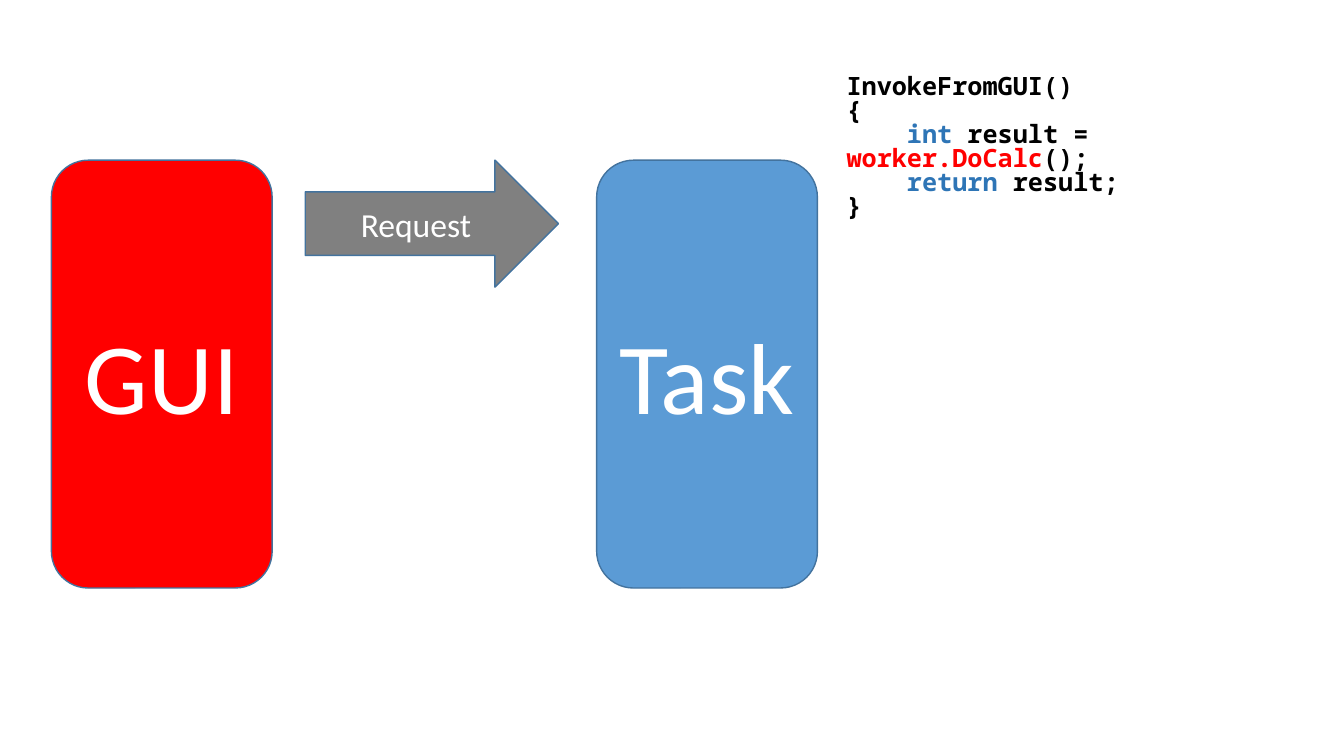
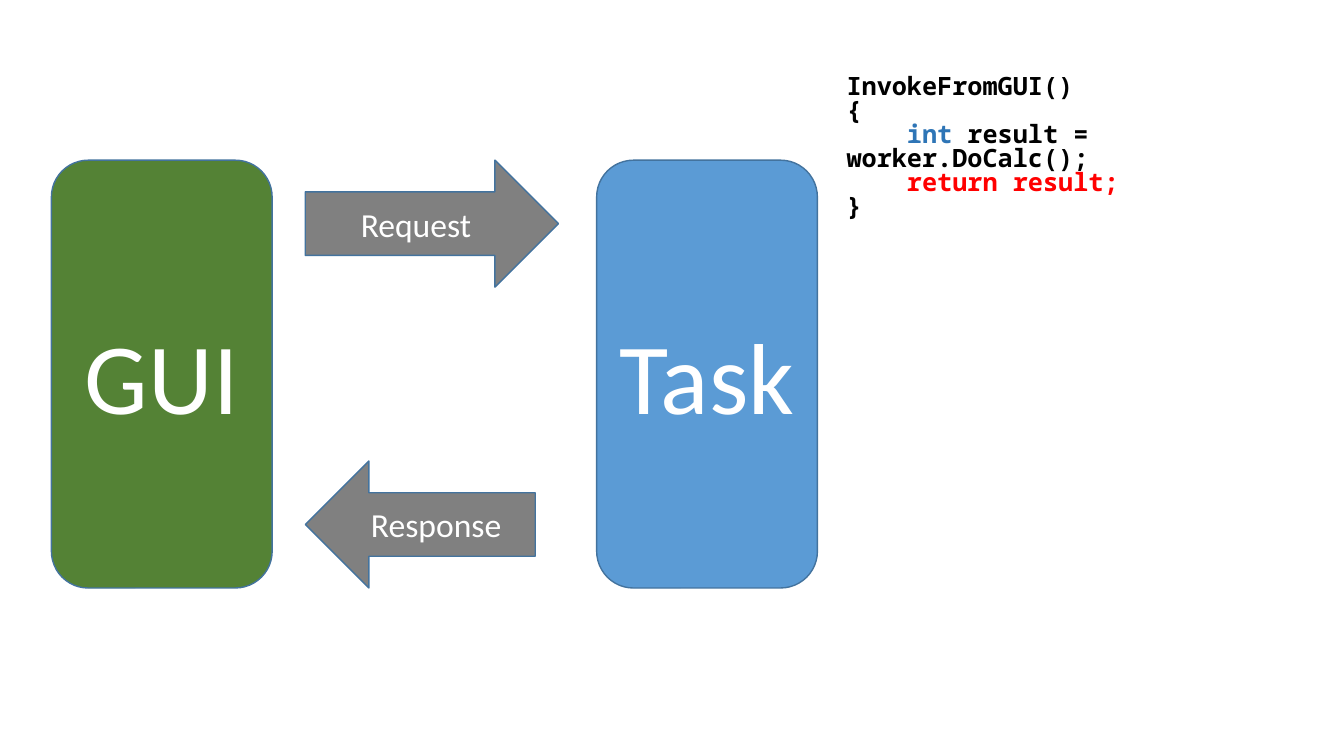
from dataclasses import dataclass
from typing import NamedTuple

from pptx import Presentation
from pptx.dml.color import RGBColor
from pptx.enum.shapes import MSO_SHAPE
from pptx.enum.text import MSO_ANCHOR, PP_ALIGN
from pptx.util import Pt


@dataclass(frozen=True)
class Theme:
    busy: str = "FF0000"
    ready: str = "548235"
    task: str = "5B9BD5"
    message: str = "808080"
    outline: str = "43739E"
    label: str = "FFFFFF"
    code: str = "000000"
    keyword: str = "2E75B6"
    highlight: str = "FF0000"
    label_font: str = "Calibri"
    code_font: str = "Noto Sans Mono"
    card_size: float = 72
    message_size: float = 24
    code_size: float = 18
    code_spacing: float = 0.79
    code_indent: float = 43.2  # four characters of code


THEME = Theme()


class Box(NamedTuple):
    """A region in points."""
    left: float
    top: float
    width: float
    height: float

    def in_points(self):
        return [Pt(length) for length in self]


DIAGRAM = Box(36.7, 114.4, 547.2, 305.6)
CODE = Box(597.6, 51.1, 350.6, 118.8)
CARD_WIDTH = 157.7
MESSAGE_HEIGHT = 90.7
MESSAGE_OFFSET = 181.4
REQUEST_WIDTH = 180.8
RESPONSE_WIDTH = 164.2


def write(paragraph, text, *, font, size, color, bold=False):
    """Add one formatted run to a paragraph."""
    run = paragraph.add_run()
    run.text = text
    run.font.name = font
    run.font.size = Pt(size)
    run.font.bold = bold
    run.font.color.rgb = RGBColor.from_string(color)


def add_labelled(slide, preset, box, label, fill, size):
    """Place an outlined shape with a centred label."""
    shape = slide.shapes.add_shape(preset, *box.in_points())
    shape.shadow.inherit = False
    shape.fill.solid()
    shape.fill.fore_color.rgb = RGBColor.from_string(fill)
    shape.line.color.rgb = RGBColor.from_string(THEME.outline)
    shape.line.width = Pt(1)
    frame = shape.text_frame
    frame.vertical_anchor = MSO_ANCHOR.MIDDLE
    paragraph = frame.paragraphs[0]
    paragraph.alignment = PP_ALIGN.CENTER
    write(paragraph, label, font=THEME.label_font, size=size, color=THEME.label)


def add_diagram(slide, box, gui_color, answered):
    """Place the GUI and Task cards with the messages between them."""
    # Cards at both ends
    task_left = box.left + box.width - CARD_WIDTH
    for label, left, fill in (("GUI", box.left, gui_color),
                              ("Task", task_left, THEME.task)):
        card = Box(left, box.top, CARD_WIDTH, box.height)
        add_labelled(slide, MSO_SHAPE.ROUNDED_RECTANGLE, card, label, fill,
                     THEME.card_size)

    # Request along the top, response along the bottom
    messages = [("Request", MSO_SHAPE.RIGHT_ARROW, box.top, REQUEST_WIDTH)]
    if answered:
        response_top = box.top + box.height - MESSAGE_HEIGHT
        messages.append(("Response", MSO_SHAPE.LEFT_ARROW, response_top,
                         RESPONSE_WIDTH))
    for label, preset, top, width in messages:
        arrow = Box(box.left + MESSAGE_OFFSET, top, width, MESSAGE_HEIGHT)
        add_labelled(slide, preset, arrow, label, THEME.message,
                     THEME.message_size)


def add_code(slide, box, statements):
    """Place the function, with its statements indented on the first line."""
    frame = slide.shapes.add_textbox(*box.in_points()).text_frame
    frame.word_wrap = True
    plain = [[("InvokeFromGUI()", THEME.code)], [("{", THEME.code)]]
    lines = [*plain, *statements, [("}", THEME.code)]]
    for number, line in enumerate(lines):
        paragraph = frame.add_paragraph() if number else frame.paragraphs[0]
        paragraph.line_spacing = THEME.code_spacing
        if line in statements:
            properties = paragraph._p.get_or_add_pPr()
            properties.set("marL", "0")
            properties.set("indent", str(Pt(THEME.code_indent)))
        for text, color in line:
            write(paragraph, text, font=THEME.code_font, size=THEME.code_size,
                  color=color, bold=True)


def add_call_slide(deck, gui_color, answered, statements):
    slide = deck.slides.add_slide(deck.slide_layouts[6])
    add_diagram(slide, DIAGRAM, gui_color, answered)
    add_code(slide, CODE, statements)


def main():
    deck = Presentation()
    deck.slide_width, deck.slide_height = Pt(960), Pt(540)
    declaration = [("int", THEME.keyword), (" result = ", THEME.code)]

    # The GUI waits for the call
    add_call_slide(deck, THEME.busy, False, [
        [*declaration, ("worker.DoCalc", THEME.highlight), ("();", THEME.code)],
        [("return", THEME.keyword), (" result;", THEME.code)],
    ])

    # The result comes back
    add_call_slide(deck, THEME.ready, True, [
        [*declaration, ("worker.DoCalc();", THEME.code)],
        [("return result;", THEME.highlight)],
    ])
    deck.save("out.pptx")


if __name__ == "__main__":
    main()
